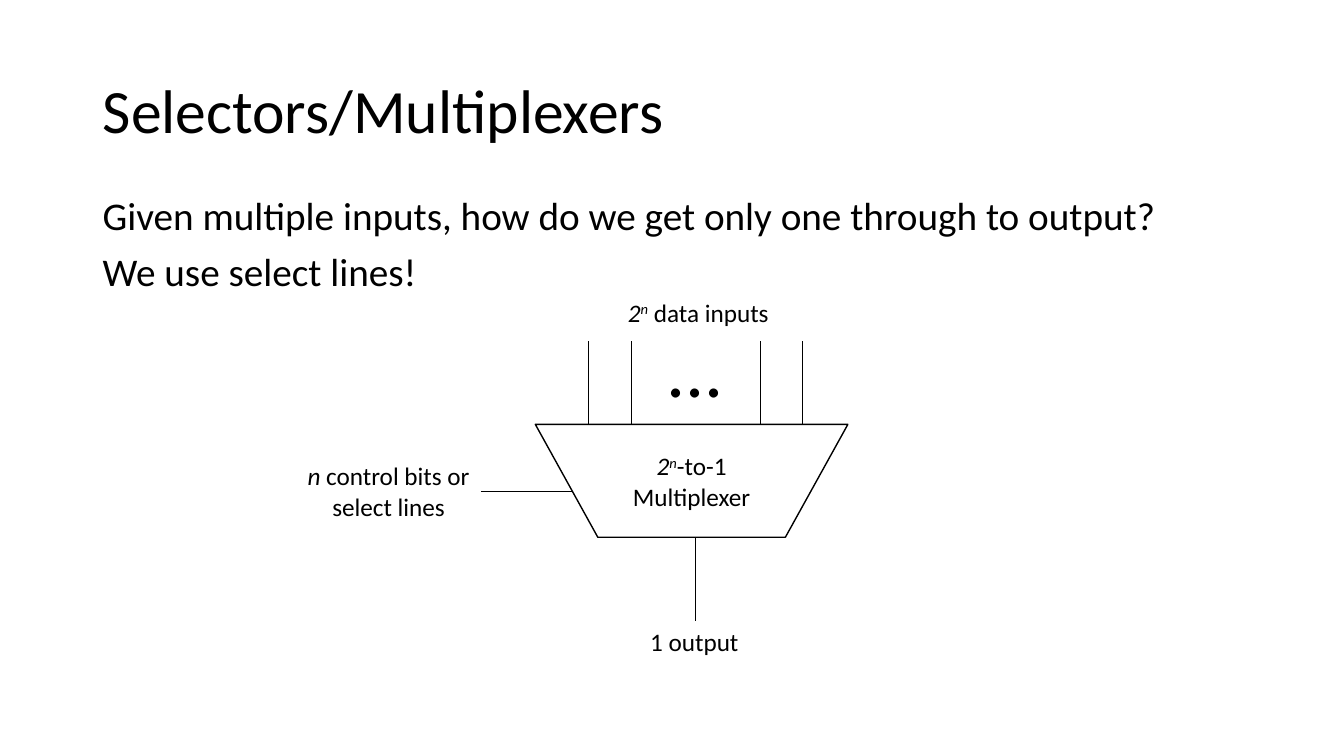
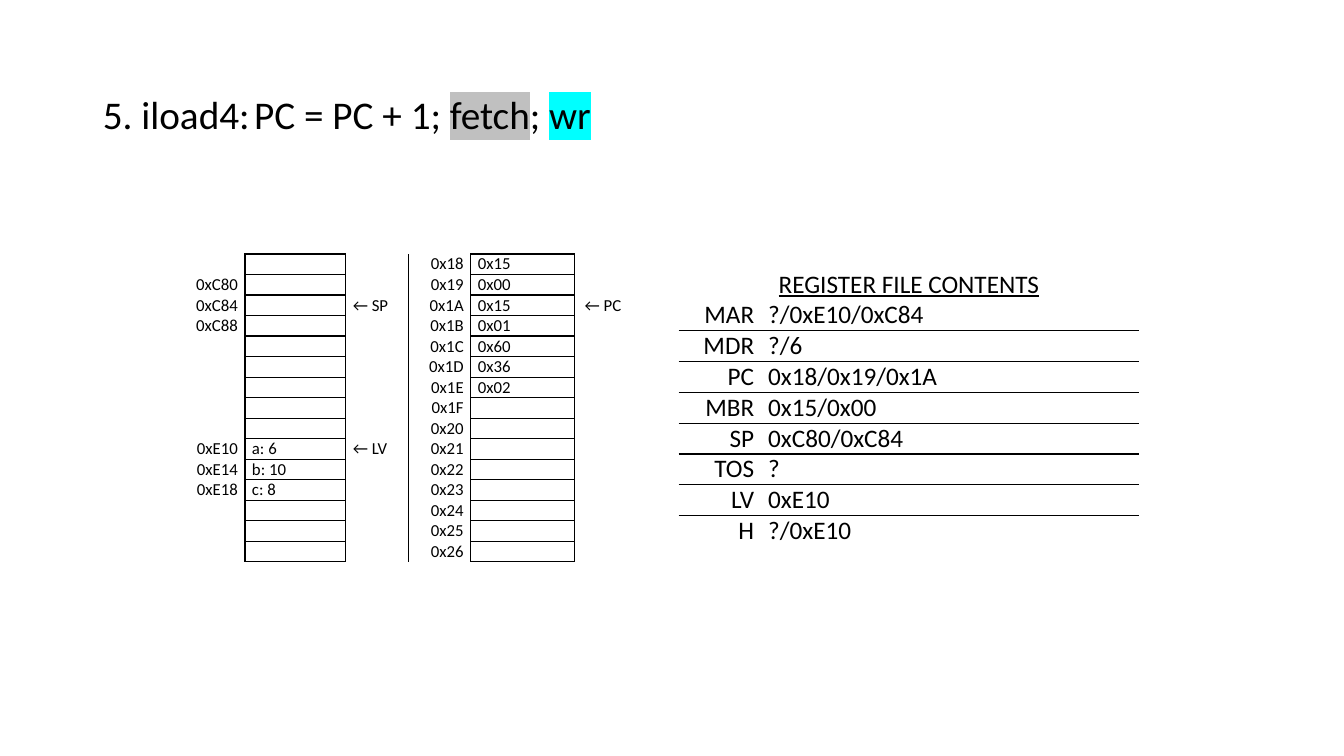
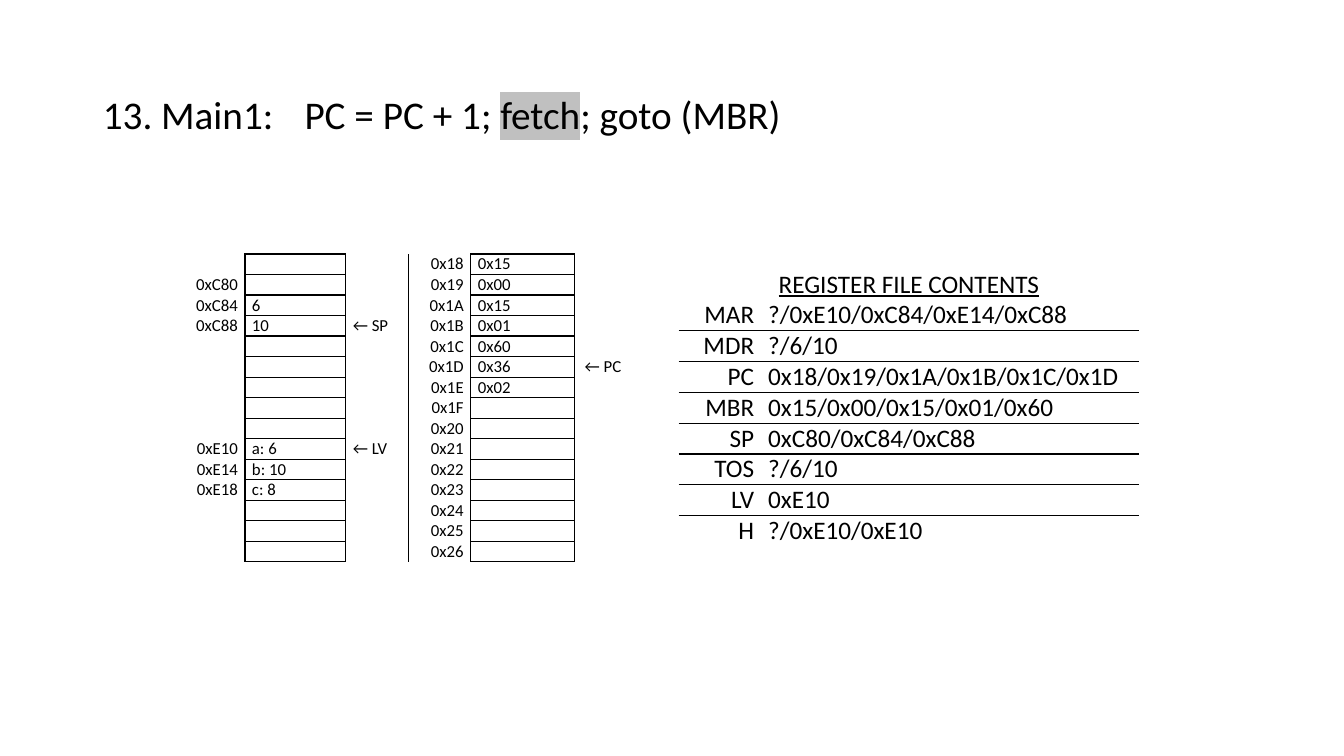
from lxml import etree
from pptx import Presentation
from pptx import util as u
from pptx.dml import color
from pptx.enum import shapes, text
from pptx.oxml import ns

# Shared style
PX = 9144  # EMU in one px, 100 px to the inch
FONT = "Calibri"
COLORS = {"ink": "000000", "paper": "FFFFFF", "fetch": "C0C0C0", "memory": "00FFFF"}
PLAIN_TABLE = "{2D5ABB26-0587-4C30-8999-92F81FD0307C}"
LEFT, CENTER, RIGHT = text.PP_ALIGN.LEFT, text.PP_ALIGN.CENTER, text.PP_ALIGN.RIGHT
TOP, MIDDLE = text.MSO_ANCHOR.TOP, text.MSO_ANCHOR.MIDDLE
INSET = 7

# What the memory and register tables share
ROWS = 15
STACK_ADDRESSES = {first + i: f"0x{base + 4 * i:X}"
                   for first, base in ((1, 0xC80), (9, 0xE10)) for i in range(3)}
PROGRAM = ["0x15", "0x00", "0x15", "0x01", "0x60", "0x36", "0x02"]
LOCALS = {9: "a: 6", 10: "b: 10", 11: "c: 8"}
REGISTERS = ["MAR", "MDR", "PC", "MBR", "SP", "TOS", "LV", "H"]


def px(*lengths):
    return [u.Emu(length * PX) for length in lengths]


def rgb(name):
    return color.RGBColor.from_string(COLORS[name])


# Text
def add_span(para, words, size, italic=False, underline=False, raised=False, mark=None):
    span = para.add_run()
    span.text = words
    font = span.font
    font.name, font.size = FONT, u.Pt(size)
    font.color.rgb = rgb("ink")
    if italic:
        font.italic = True
    if underline:
        font.underline = True
    props = span._r.get_or_add_rPr()
    if raised:
        props.set("baseline", "30000")
    if mark:
        highlight = etree.Element(ns.qn("a:highlight"))
        etree.SubElement(highlight, ns.qn("a:srgbClr"), val=COLORS[mark])
        props.find(ns.qn("a:solidFill")).addnext(highlight)


def write(frame, paras, size, align=LEFT, spacing=None, before=0):
    """Each paragraph is a list of (words, format) spans."""
    for i, spans in enumerate(paras):
        para = frame.add_paragraph() if i else frame.paragraphs[0]
        para.alignment = align
        if spacing:
            para.line_spacing = spacing
        para.space_before = u.Pt(before if i else 0)
        for words, look in spans:
            add_span(para, words, size, **look)


def add_text(page, at, paras, size, wrap=False, **layout):
    box = page.shapes.add_textbox(*px(*at))
    box.text_frame.word_wrap = wrap
    write(box.text_frame, paras, size, **layout)


def add_page(deck, spans, size, top, height, anchor):
    page = deck.slides.add_slide(deck.slide_layouts[5])
    title = page.shapes.title
    title.left, title.top, title.width, title.height = px(92, top, 1150, height)
    frame = title.text_frame
    frame.word_wrap = True
    frame.auto_size = text.MSO_AUTO_SIZE.NONE
    frame.vertical_anchor = anchor
    write(frame, [spans], size, spacing=0.9)
    return page


# Lines and tables
def add_wire(page, x1, y1, x2, y2):
    wire = page.shapes.add_connector(shapes.MSO_CONNECTOR.STRAIGHT, *px(x1, y1, x2, y2))
    wire.line.color.rgb = rgb("ink")
    wire.line.width = u.Pt(0.5)
    etree.SubElement(wire._element.spPr, ns.qn("a:effectLst"))


def add_grid(page, left, top, columns, rows, row_height):
    frame = page.shapes.add_table(rows, len(columns),
                                  *px(left, top, sum(columns), rows * row_height))
    table = frame.table
    table.first_row = table.horz_banding = False
    table._tbl.tblPr.find(ns.qn("a:tableStyleId")).text = PLAIN_TABLE
    for column, width in zip(table.columns, px(*columns)):
        column.width = width
    for row in table.rows:
        row.height = px(row_height)[0]
    return table


def fill_cell(cell, words, size, sides="", align=LEFT, inset=INSET, **look):
    cell.margin_left, cell.margin_right = px(inset, INSET)
    cell.margin_top = cell.margin_bottom = 0
    para = cell.text_frame.paragraphs[0]
    para.alignment = align
    if words:
        add_span(para, words, size, **look)
    else:
        etree.SubElement(para._p, ns.qn("a:endParaRPr"), sz=str(size * 100))
    props = cell._tc.get_or_add_tcPr()
    for side in sides:
        edge = etree.SubElement(props, ns.qn(f"a:ln{side}"), w=str(u.Pt(1)))
        paint = etree.SubElement(edge, ns.qn("a:solidFill"))
        etree.SubElement(paint, ns.qn("a:srgbClr"), val=COLORS["ink"])
    cell.fill.background()


def add_memory(page, stack, sp_row, pc_row):
    table = add_grid(page, 186, 252, [57, 100, 62, 62, 103, 103], ROWS, 20)
    stack = {**LOCALS, **stack}
    program = dict(enumerate(PROGRAM))
    stack_pointers = {sp_row: "← SP", 9: "← LV"}
    for row in range(ROWS):
        cells = [
            (STACK_ADDRESSES.get(row), "", RIGHT, INSET),
            (stack.get(row), "LRTB", LEFT, INSET),
            (stack_pointers.get(row), "L", LEFT, INSET),
            (f"0x{0x18 + row:X}", "", RIGHT, INSET),
            (program.get(row), "LRTB", LEFT, INSET),
            ("← PC" if row == pc_row else None, "L", LEFT, INSET + 3),
        ]
        for column, (words, sides, align, inset) in enumerate(cells):
            fill_cell(table.cell(row, column), words, 12, sides, align, inset)


def add_registers(page, values):
    table = add_grid(page, 673, 267, [82, 375], len(REGISTERS) + 1, 30)
    header = table.cell(0, 0)
    header.merge(table.cell(0, 1))
    fill_cell(header, "REGISTER FILE CONTENTS", 18, align=CENTER, underline=True)
    for row, (name, value) in enumerate(zip(REGISTERS, values), 1):
        sides = ("T" if row > 1 else "") + ("B" if row < len(REGISTERS) else "")
        fill_cell(table.cell(row, 0), name, 18, sides, RIGHT)
        fill_cell(table.cell(row, 1), value, 18, sides)


# Slides
def multiplexer_page(deck):
    page = add_page(deck, [("Selectors/Multiplexers", {})], 44, 40, 145, MIDDLE)
    add_text(page, (92, 190, 1150, 162), [
        [("Given multiple inputs, how do we get only one through to output?", {})],
        [("We use select lines!", {})],
    ], 28, wrap=True, spacing=0.9, before=10)

    # Multiplexer
    power = [("2", {"italic": True}), ("n", {"italic": True, "raised": True})]
    mux = page.shapes.add_shape(shapes.MSO_SHAPE.FLOWCHART_MANUAL_OPERATION,
                                *px(531, 421, 310, 112))
    mux.shadow.inherit = False
    mux.fill.solid()
    mux.fill.fore_color.rgb = rgb("paper")
    mux.line.color.rgb = rgb("ink")
    mux.line.width = u.Pt(1)
    mux.text_frame.word_wrap = True
    mux.text_frame.vertical_anchor = MIDDLE
    write(mux.text_frame, [power + [("-to-1 Multiplexer", {})]], 18, CENTER)

    # Wires: inputs, select, output
    axis = 690
    for offset in (-106, -64, 64, 106):
        add_wire(page, axis + offset, 421, axis + offset, 338)
    add_wire(page, 477, 487, 568, 487)
    add_wire(page, axis, 616, axis, 533)

    # Labels
    add_text(page, (651, 314, 78, 101), [[("...", {})]], 54)
    add_text(page, (613, 290, 163, 40), [power + [(" data inputs", {})]], 18)
    add_text(page, (294, 452, 183, 71), [
        [("n", {"italic": True}), (" control bits or", {})],
        [("select lines", {})],
    ], 18, align=CENTER)
    add_text(page, (635, 616, 109, 40), [[("1 output", {})]], 18)


def trace_page(deck, step, stack, sp_row, pc_row, values):
    page = add_page(deck, step, 28, 90, 51, TOP)
    add_memory(page, stack, sp_row, pc_row)
    add_registers(page, values)


def main():
    deck = Presentation()
    deck.slide_width, deck.slide_height = px(1333, 750)
    multiplexer_page(deck)
    fetch = ("fetch", {"mark": "fetch"})
    trace_page(
        deck,
        [("5. iload4:\tPC = PC + 1; ", {}), fetch, ("; ", {}), ("wr", {"mark": "memory"})],
        stack={}, sp_row=2, pc_row=2,
        values=["?/0xE10/0xC84", "?/6", "0x18/0x19/0x1A", "0x15/0x00",
                "0xC80/0xC84", "?", "0xE10", "?/0xE10"])
    trace_page(
        deck,
        [("13. Main1:\tPC = PC + 1; ", {}), fetch, ("; goto (MBR)", {})],
        stack={2: "6", 3: "10"}, sp_row=3, pc_row=5,
        values=["?/0xE10/0xC84/0xE14/0xC88", "?/6/10", "0x18/0x19/0x1A/0x1B/0x1C/0x1D",
                "0x15/0x00/0x15/0x01/0x60", "0xC80/0xC84/0xC88", "?/6/10", "0xE10",
                "?/0xE10/0xE10"])
    deck.save("out.pptx")


if __name__ == "__main__":
    main()
